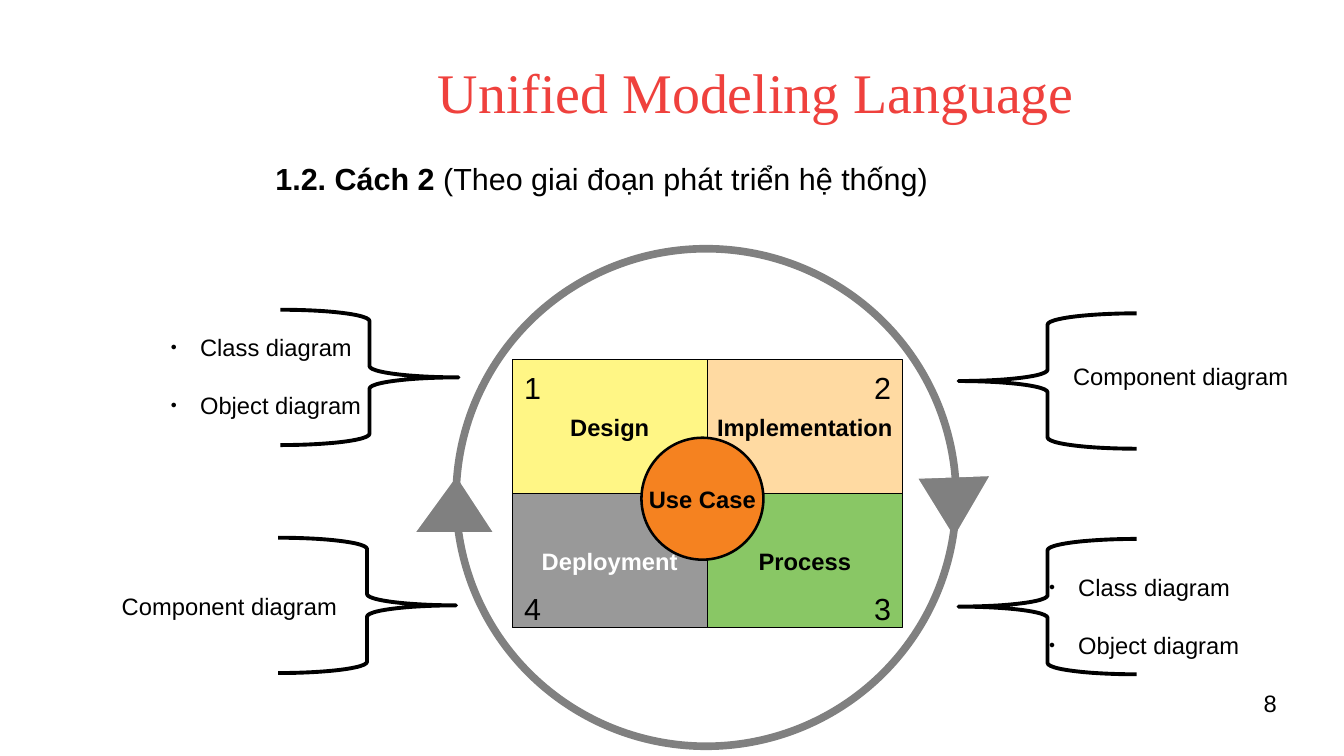
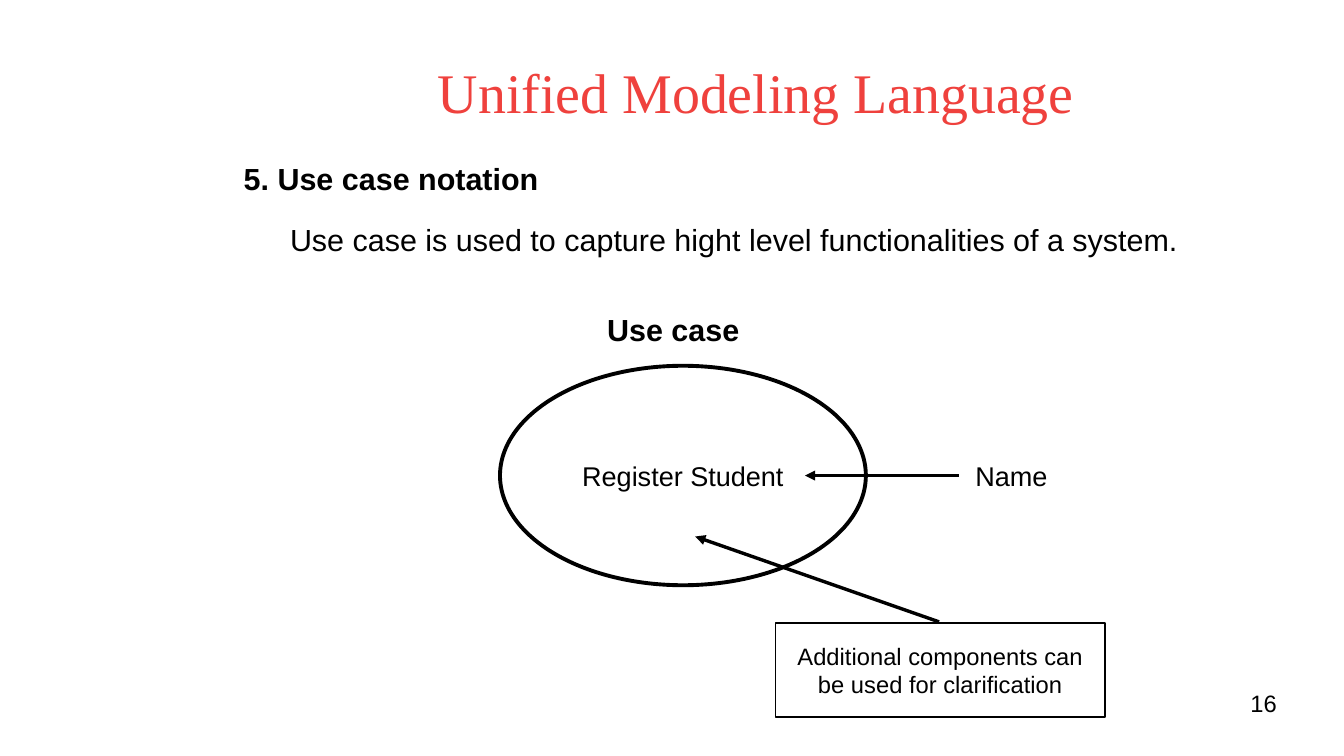
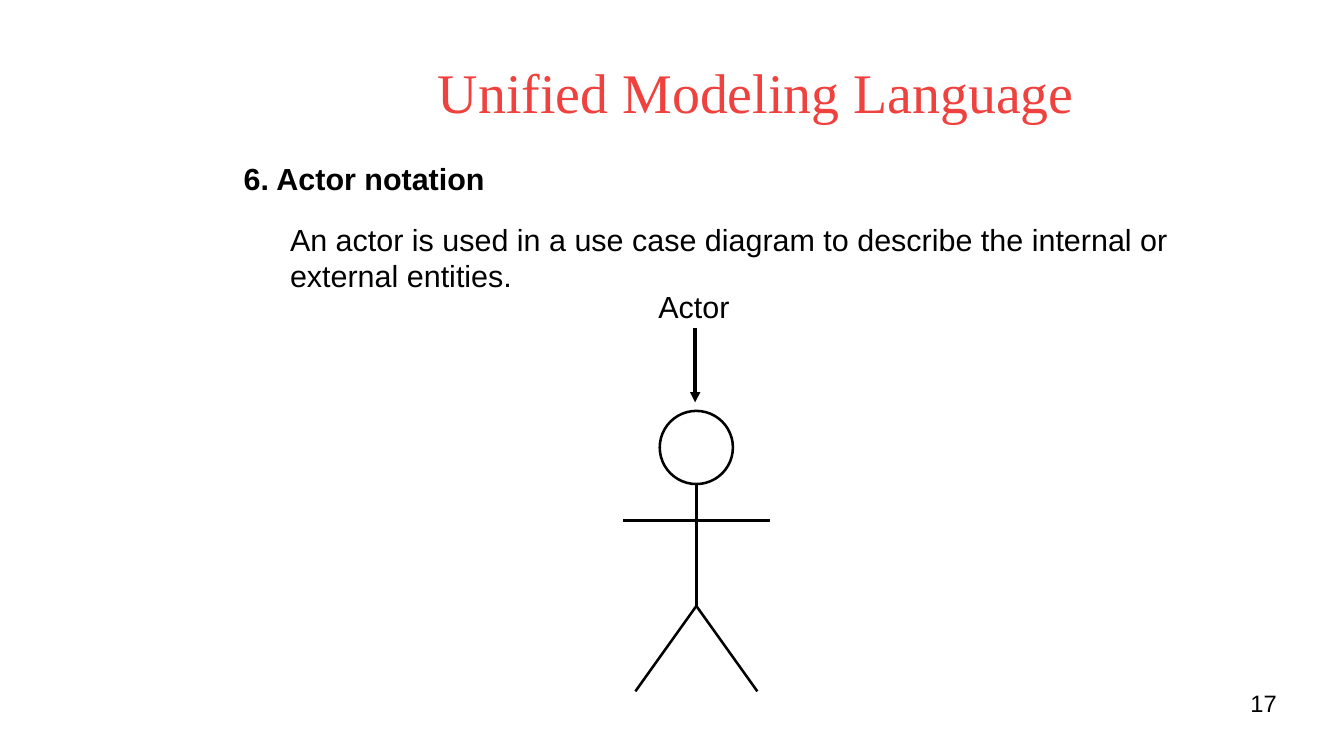
"""Build three slides on diagrams of the Unified Modeling Language."""
from lxml.etree import SubElement
from pptx import Presentation
from pptx.dml.color import RGBColor
from pptx.enum.shapes import MSO_CONNECTOR as Connector, MSO_SHAPE as Preset
from pptx.enum.text import MSO_ANCHOR as Anchor, MSO_AUTO_SIZE as AutoSize, PP_ALIGN as Align
from pptx.oxml.ns import qn
from pptx.util import Inches, Pt

BLACK, WHITE, GRAY, RED = "000000", "FFFFFF", "808080", "EF413D"


def paint(shape, fill, line, width):
    """Set fill and outline; no fill colour means transparent."""
    shape.shadow.inherit = False
    if fill:
        shape.fill.solid()
        shape.fill.fore_color.rgb = RGBColor.from_string(fill)
    else:
        shape.fill.background()
    shape.line.color.rgb = RGBColor.from_string(line)
    shape.line.width = Pt(width)


def write(shape, text, size, bold=False, color=BLACK, font="Arial", align=Align.LEFT,
          anchor=Anchor.TOP, margins=(0.1, 0.05), wrap=True):
    """Fill a shape with text in one style."""
    frame = shape.text_frame
    frame.text = text
    frame.word_wrap = wrap
    frame.auto_size = AutoSize.NONE
    frame.vertical_anchor = anchor
    frame.margin_left = frame.margin_right = Inches(margins[0])
    frame.margin_top = frame.margin_bottom = Inches(margins[1])
    for para in frame.paragraphs:
        para.alignment = align
        for span in para.runs:
            span.font.name = font
            span.font.size = Pt(size)
            span.font.bold = bold
            span.font.color.rgb = RGBColor.from_string(color)


deck = Presentation()
deck.slide_width, deck.slide_height = Inches(11.02), Inches(6.2)
TWO_CONTENT, TITLE_ONLY = deck.slide_layouts[3], deck.slide_layouts[5]

pages = []
for layout, number in [(TWO_CONTENT, "8"), (TITLE_ONLY, "16"), (TITLE_ONLY, "17")]:
    page = deck.slides.add_slide(layout)
    title = page.shapes.title
    title.left, title.top = Inches(1.77), Inches(0.24)
    title.width, title.height = Inches(8.86), Inches(1.02)
    write(title, "Unified Modeling Language", 33, color=RED, font="Times New Roman",
          align=Align.CENTER, anchor=Anchor.MIDDLE, margins=(0, 0))
    footer = page.shapes.add_textbox(Inches(7.9), Inches(5.65), Inches(2.57), Inches(0.43))
    write(footer, number, 14, align=Align.RIGHT, margins=(0, 0))
    pages.append(page)
phases, use_case, actor = pages

for left, top, width, height, angle in [(3.4, 3.9, 0.65, 0.47, 0), (7.53, 3.91, 0.6, 0.5, 177.9)]:
    arrow = phases.shapes.add_shape(
        Preset.ISOSCELES_TRIANGLE, Inches(left), Inches(top), Inches(width), Inches(height))
    arrow.adjustments[0] = 0.527
    arrow.rotation = angle
    paint(arrow, GRAY, WHITE, 0)

quadrants = [("Design", "FFF685", BLACK), ("Implementation", "FFDAA2", BLACK),
             ("Deployment", "999999", WHITE), ("Process", "89C765", BLACK)]
for index, (name, fill, color) in enumerate(quadrants):
    row, column = divmod(index, 2)
    quadrant = phases.shapes.add_shape(
        Preset.RECTANGLE, Inches(4.2 + 1.6 * column), Inches(2.95 + 1.1 * row),
        Inches(1.6), Inches(1.1))
    paint(quadrant, fill, BLACK, 0)
    write(quadrant, name, 14, bold=True, color=color, align=Align.CENTER,
          anchor=Anchor.MIDDLE, wrap=False)

ovals = [
    (phases, 5.26, 3.59, 1, 1, "F58220", BLACK, 1.5, "Use Case", 14, True),
    (phases, 3.74, 2.04, 4.1, 4.08, None, GRAY, 4.5, "", 14, False),
    (use_case, 4.1, 3, 3, 1.8, WHITE, BLACK, 2.3, "Register Student", 16, False),
    (actor, 5.41, 3.37, 0.6, 0.6, WHITE, BLACK, 1.5, "", 14, False),
]
for page, left, top, width, height, fill, line, weight, text, size, bold in ovals:
    oval = page.shapes.add_shape(
        Preset.OVAL, Inches(left), Inches(top), Inches(width), Inches(height))
    paint(oval, fill, line, weight)
    write(oval, text, size, bold=bold, align=Align.CENTER, anchor=Anchor.MIDDLE,
          margins=(0.11, 0.06), wrap=False)

for preset, left, top in [(Preset.RIGHT_BRACE, 2.3, 2.54), (Preset.RIGHT_BRACE, 2.28, 4.41),
                          (Preset.LEFT_BRACE, 7.86, 2.57), (Preset.LEFT_BRACE, 7.86, 4.42)]:
    brace = phases.shapes.add_shape(
        preset, Inches(left), Inches(top), Inches(1.46), Inches(1.11))
    paint(brace, None, BLACK, 2.3)

for index, left, top in [(1, 1.3, 2.68), (2, 8.5, 4.65)]:
    diagrams = phases.placeholders[index]
    diagrams.left, diagrams.top = Inches(left), Inches(top)
    diagrams.width, diagrams.height = Inches(2.24), Inches(0.97)
    write(diagrams, "Class diagram\nObject diagram", 14)
    for para, gap in zip(diagrams.text_frame.paragraphs, (0, 17.5)):
        para.space_before = Pt(gap)
        properties = para._p.get_or_add_pPr()
        properties.set("marL", str(Inches(0.24)))
        properties.set("indent", str(-Inches(0.24)))
        SubElement(properties, qn("a:buSzPct"), val="45000")
        SubElement(properties, qn("a:buChar"), char="●")

labels = [
    (phases, 8.7, 2.92, 2.5, 0.75, "Component diagram", 14, False),
    (phases, 0.9, 4.8, 2.5, 0.75, "Component diagram", 14, False),
    (phases, 4.2, 2.98, 0.3, 0.38, "1", 18, False),
    (phases, 7.07, 2.98, 0.3, 0.38, "2", 18, False),
    (phases, 7.07, 4.79, 0.3, 0.38, "3", 18, False),
    (phases, 4.2, 4.79, 0.3, 0.38, "4", 18, False),
    (use_case, 1.9, 1.26, 7.2, 0.66, "5. Use case notation", 18, True),
    (use_case, 2.28, 1.76, 8.1, 0.66,
     "Use case is used to capture hight level functionalities of a system.", 18, False),
    (use_case, 4.88, 2.5, 1.84, 0.66, "Use case", 18, True),
    (use_case, 7.9, 3.72, 1.1, 0.35, "Name", 16, False),
    (actor, 1.9, 1.26, 7.2, 0.66, "6. Actor notation", 18, True),
    (actor, 2.28, 1.76, 8.1, 0.66,
     "An actor is used in a use case diagram to describe the internal or external entities.",
     18, False),
    (actor, 5.3, 2.31, 1.6, 0.38, "Actor", 18, False),
]
for page, left, top, width, height, text, size, bold in labels:
    label = page.shapes.add_textbox(Inches(left), Inches(top), Inches(width), Inches(height))
    write(label, text, size, bold=bold)

heading = phases.shapes.add_textbox(Inches(2.16), Inches(1.26), Inches(5.84), Inches(0.66))
write(heading, "1.2. Cách 2 (Theo giai đoạn phát triển hệ thống)", 18)
para = heading.text_frame.paragraphs[0]
para.runs[0].text = "1.2. Cách 2 "
para.runs[0].font.bold = True
span = para.add_run()
span.text = "(Theo giai đoạn phát triển hệ thống)"
span.font.name, span.font.size = "Arial", Pt(18)
span.font.color.rgb = RGBColor.from_string(BLACK)

note = use_case.shapes.add_shape(
    Preset.RECTANGLE, Inches(6.36), Inches(5.11), Inches(2.7), Inches(0.77))
paint(note, None, BLACK, 1)
write(note, "Additional components can be used for clarification", 14, align=Align.CENTER,
      anchor=Anchor.MIDDLE, margins=(0.11, 0.06))
note.text_frame.paragraphs[0].space_after = Pt(2.9)

strokes = [
    (use_case, 7.7, 5.1, 5.7, 4.4, 0, True),
    (use_case, 7.86, 3.9, 6.6, 3.9, 0, True),
    (actor, 5.7, 2.69, 5.7, 3.3, 0, True),
    (actor, 5.71, 3.97, 5.71, 4.97, 1.5, False),
    (actor, 5.71, 4.97, 5.21, 5.67, 1.5, False),
    (actor, 5.71, 4.97, 6.21, 5.67, 1.5, False),
    (actor, 5.11, 4.27, 6.31, 4.27, 1.5, False),
]
for page, x1, y1, x2, y2, weight, pointed in strokes:
    stroke = page.shapes.add_connector(
        Connector.STRAIGHT, Inches(x1), Inches(y1), Inches(x2), Inches(y2))
    stroke.line.color.rgb = RGBColor.from_string(BLACK)
    stroke.line.width = Pt(weight)
    if pointed:
        SubElement(stroke.line._get_or_add_ln(), qn("a:tailEnd"), type="triangle")
    SubElement(stroke._element.spPr, qn("a:effectLst"))

deck.save("out.pptx")
